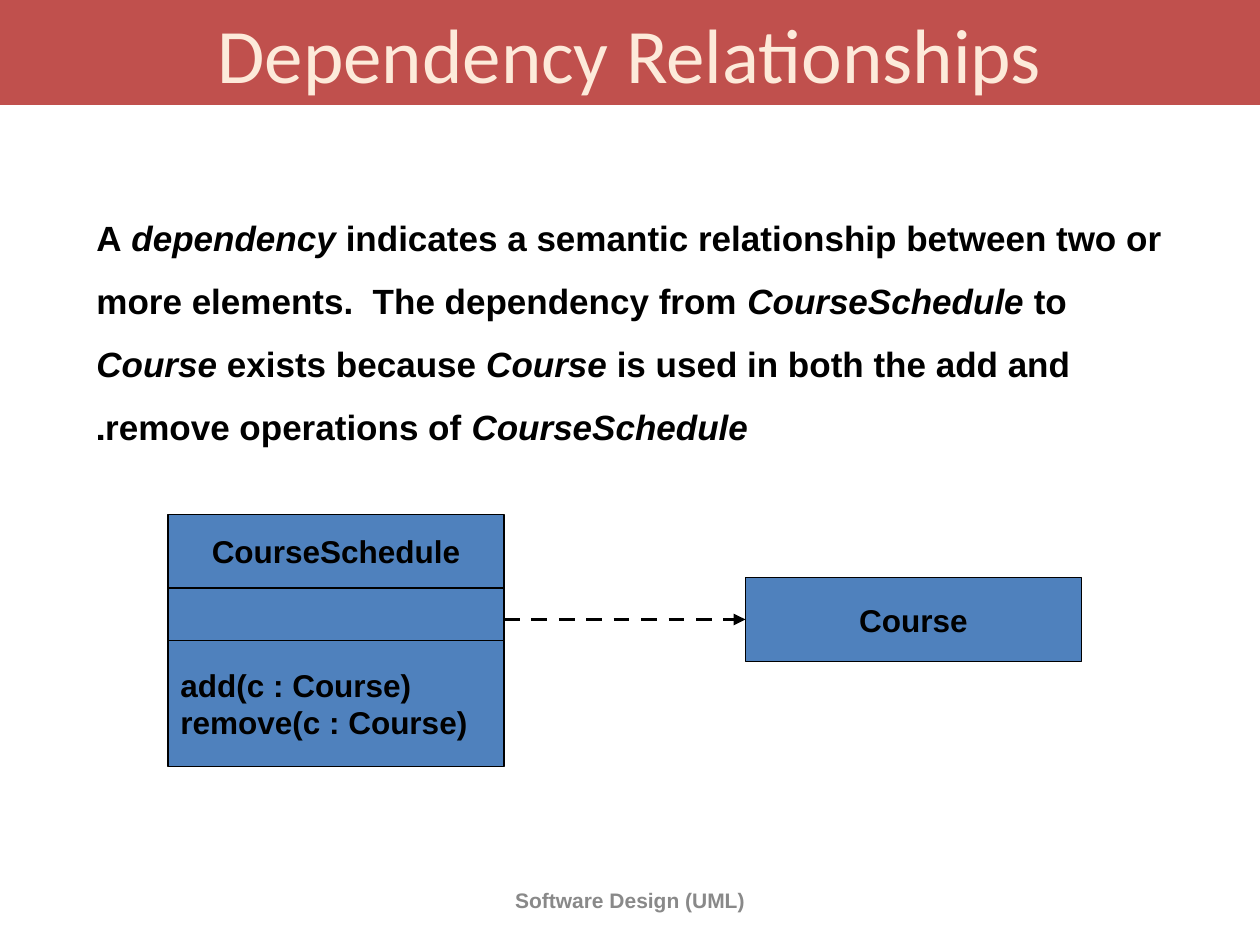
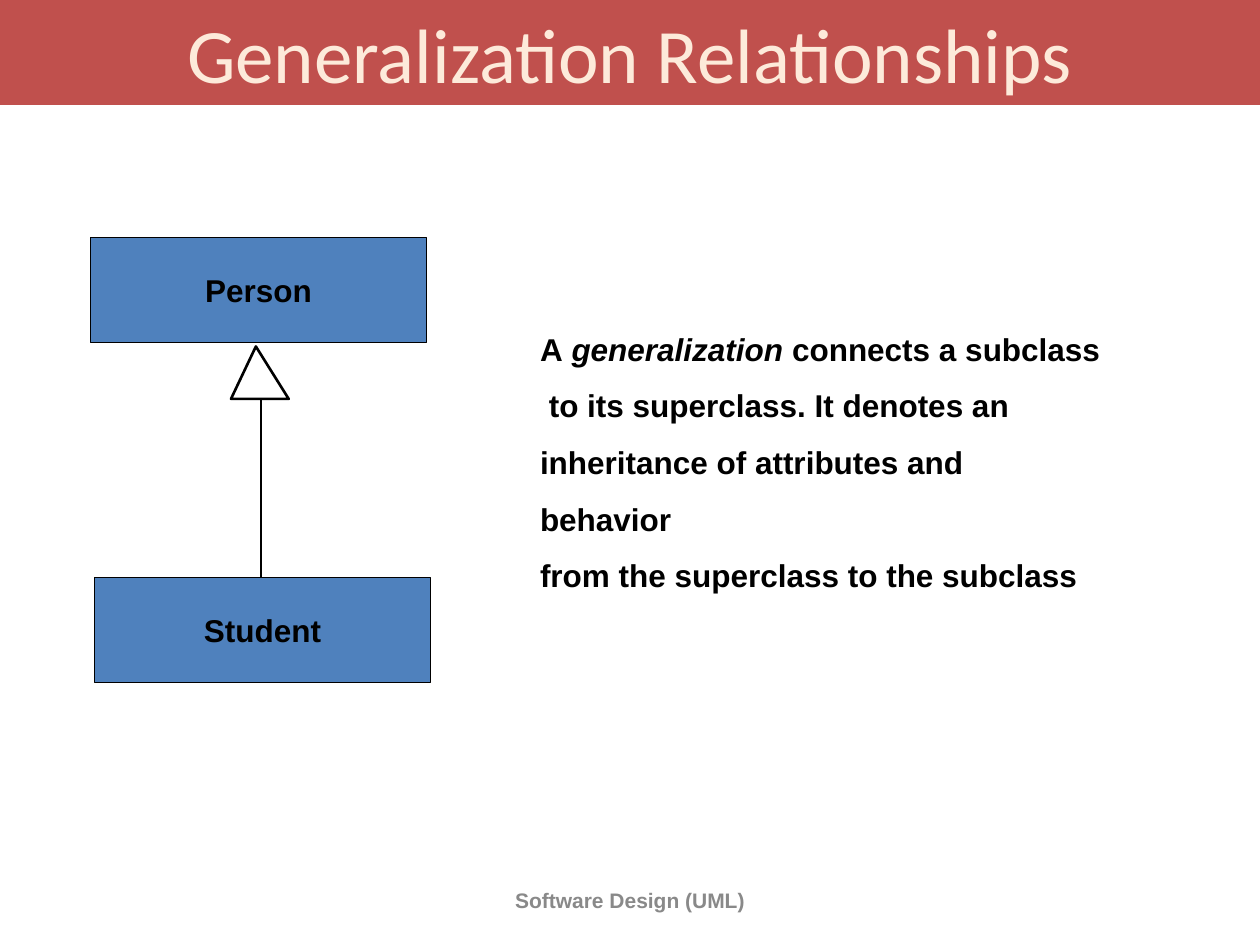
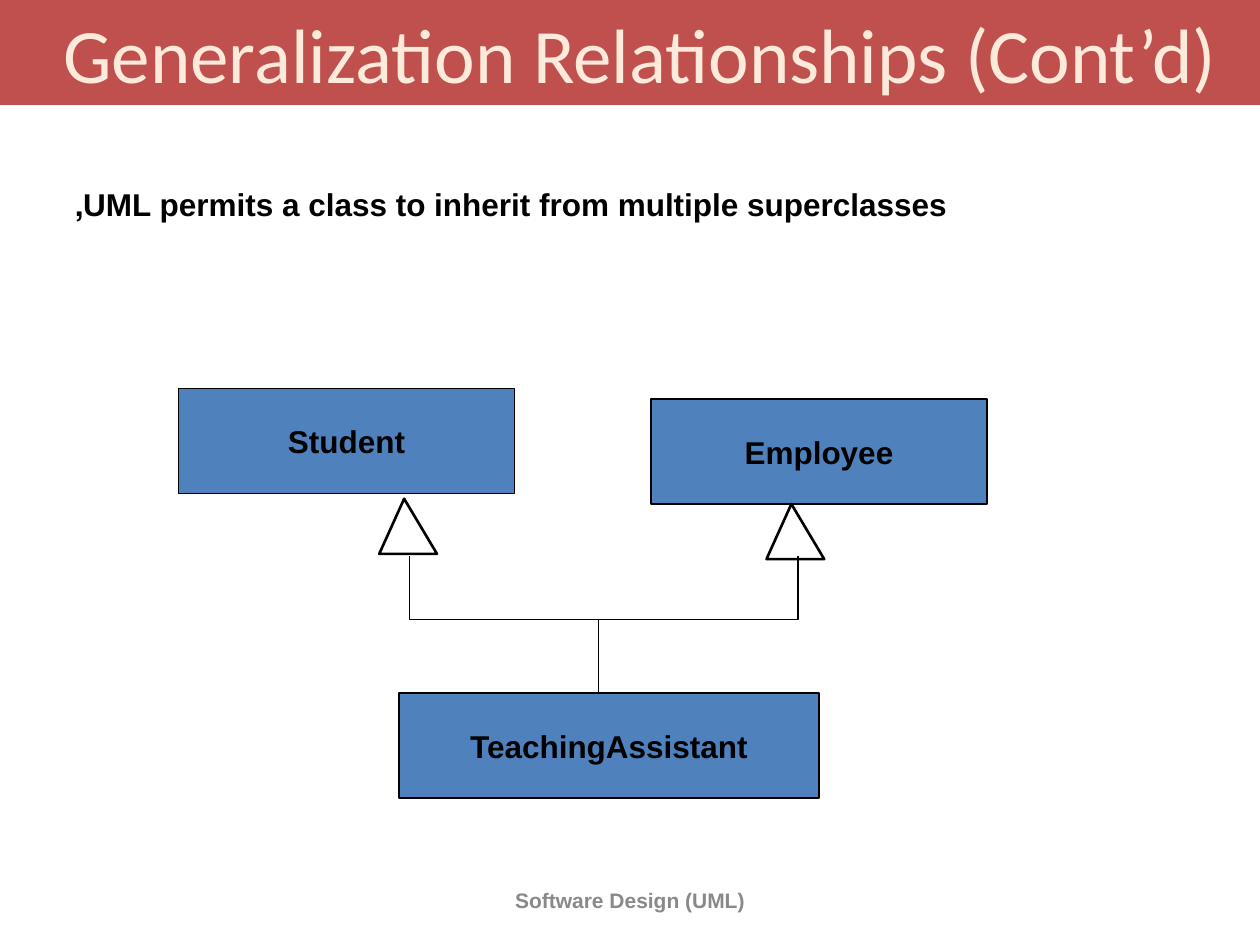
"""Build three slides on UML dependency and generalization relationships."""
from dataclasses import dataclass
from typing import NamedTuple

from lxml.etree import SubElement
from pptx import Presentation
from pptx.dml.color import RGBColor
from pptx.enum.dml import MSO_LINE_DASH_STYLE as Dash
from pptx.enum.shapes import MSO_CONNECTOR as Connector, MSO_SHAPE as Preset
from pptx.enum.text import MSO_ANCHOR as Anchor, MSO_AUTO_SIZE as AutoSize, PP_ALIGN as Align
from pptx.oxml.ns import qn
from pptx.util import Emu, Pt

EMU_PER_PX = 9525
TITLE_ONLY_LAYOUT = 5
FOOTER = "Software Design (UML)"


@dataclass(frozen=True)
class Theme:
    """Colours, fonts, type sizes and line widths of the deck."""
    band: RGBColor = RGBColor(0xC0, 0x50, 0x4D)
    title: RGBColor = RGBColor(0xFD, 0xEA, 0xDA)
    box: RGBColor = RGBColor(0x4F, 0x81, 0xBD)
    ink: RGBColor = RGBColor(0, 0, 0)
    paper: RGBColor = RGBColor(0xFF, 0xFF, 0xFF)
    footer: RGBColor = RGBColor(0x89, 0x89, 0x89)
    title_font: str = "Calibri"
    text_font: str = "Arial"
    title_size: int = 44
    lead_size: int = 20
    text_size: int = 18
    footer_size: int = 12
    box_line: float = 0.75
    fork_line: float = 1
    branch_line: float = 1.5
    arrow_line: float = 2.25


THEME = Theme()


class Run(NamedTuple):
    """A stretch of text, italic for names of concepts."""
    text: str
    italic: bool = False


class Frame(NamedTuple):
    """A rectangle in px."""
    left: int
    top: int
    width: int
    height: int


class Point(NamedTuple):
    """A position in px."""
    x: int
    y: int


@dataclass(frozen=True)
class TextStyle:
    """How the paragraphs of a text frame look."""
    size: int = THEME.text_size
    color: RGBColor = THEME.ink
    align: Align = Align.LEFT
    spacing: float = 1.0


@dataclass(frozen=True)
class Compartment:
    """One filled rectangle of a class symbol."""
    frame: Frame
    lines: tuple[str, ...] = ()
    align: Align = Align.CENTER


Lines = tuple[tuple[Run, ...], ...]


def px(length: int) -> Emu:
    """Turn px into EMU."""
    return Emu(length * EMU_PER_PX)


def place(frame: Frame) -> tuple[Emu, ...]:
    """Turn a frame into EMU."""
    return tuple(px(length) for length in frame)


def write(text_frame, lines: Lines, style: TextStyle) -> None:
    """Fill a text frame with right-to-left paragraphs."""
    for index, runs in enumerate(lines):
        paragraph = text_frame.add_paragraph() if index else text_frame.paragraphs[0]
        paragraph.alignment = style.align
        paragraph.line_spacing = style.spacing
        paragraph._p.get_or_add_pPr().set("rtl", "1")
        for text, italic in runs:
            run = paragraph.add_run()
            run.text = text
            font = run.font
            font.name, font.size, font.bold, font.italic = THEME.text_font, Pt(style.size), True, italic
            font.color.rgb = style.color


def add_text(slide, frame: Frame, lines: Lines, style: TextStyle, wrap: bool = True,
             anchor: Anchor = Anchor.TOP, grow: bool = True) -> None:
    """Add a text box."""
    text_frame = slide.shapes.add_textbox(*place(frame)).text_frame
    text_frame.word_wrap = wrap
    text_frame.vertical_anchor = anchor
    text_frame.auto_size = AutoSize.SHAPE_TO_FIT_TEXT if grow else AutoSize.NONE
    write(text_frame, lines, style)


def set_line(shape, width: float) -> None:
    """Give a shape or connector an ink line."""
    shape.line.color.rgb = THEME.ink
    shape.line.width = Pt(width)


def add_compartment(slide, compartment: Compartment) -> None:
    """Add one rectangle of a class symbol."""
    shape = slide.shapes.add_shape(Preset.RECTANGLE, *place(compartment.frame))
    shape.shadow.inherit = False
    shape.fill.solid()
    shape.fill.fore_color.rgb = THEME.box
    set_line(shape, THEME.box_line)
    text_frame = shape.text_frame
    text_frame.word_wrap = False
    text_frame.vertical_anchor = Anchor.MIDDLE
    write(text_frame, tuple((Run(line),) for line in compartment.lines), TextStyle(align=compartment.align))


def add_line(slide, start: Point, end: Point, width: float):
    """Add a straight connector without shadow."""
    connector = slide.shapes.add_connector(Connector.STRAIGHT, *place((*start, *end)))
    set_line(connector, width)
    SubElement(connector._element.spPr, qn("a:effectLst"))
    return connector


def add_dependency(slide, start: Point, end: Point) -> None:
    """Add a dashed arrow."""
    arrow = add_line(slide, start, end, THEME.arrow_line)
    arrow.line.dash_style = Dash.DASH
    SubElement(arrow.line._get_or_add_ln(), qn("a:tailEnd"), type="triangle")


def add_outline(slide, points: list[Point], width: float, closed: bool) -> None:
    """Add a freeform, filled with paper when closed."""
    builder = slide.shapes.build_freeform(*points[0], scale=EMU_PER_PX)
    builder.add_line_segments(points[1:], close=closed)
    shape = builder.convert_to_shape()
    shape.shadow.inherit = False
    if closed:
        shape.fill.solid()
        shape.fill.fore_color.rgb = THEME.paper
    else:
        shape.fill.background()
    set_line(shape, width)


def add_triangle(slide, tip: Point, height: int = 42) -> None:
    """Add the hollow head of a generalization."""
    base = tip.y + height
    corners = [tip, Point(tip.x - 19, base), Point(tip.x + 25, base)]
    add_outline(slide, corners, THEME.branch_line, closed=True)


def add_titled_slide(presentation, title: str, band_width: int = 960):
    """Add a slide with its title band and footer."""
    slide = presentation.slides.add_slide(presentation.slide_layouts[TITLE_ONLY_LAYOUT])
    band = slide.shapes.title
    band.left, band.top, band.width, band.height = place(Frame(0, 0, band_width, 80))
    band.fill.solid()
    band.fill.fore_color.rgb = THEME.band
    text_frame = band.text_frame
    text_frame.auto_size = AutoSize.NONE
    text_frame.vertical_anchor = Anchor.MIDDLE
    paragraph = text_frame.paragraphs[0]
    paragraph.alignment = Align.CENTER
    run = paragraph.add_run()
    run.text = title
    run.font.name, run.font.size = THEME.title_font, Pt(THEME.title_size)
    run.font.color.rgb = THEME.title
    add_text(slide, Frame(328, 667, 304, 38), ((Run(FOOTER),),),
             TextStyle(THEME.footer_size, THEME.footer, Align.CENTER), anchor=Anchor.MIDDLE, grow=False)
    return slide


def build_dependency(presentation) -> None:
    """Build the slide on dependencies."""
    slide = add_titled_slide(presentation, "Dependency Relationships")
    for compartment in (
        Compartment(Frame(128, 392, 256, 56), ("CourseSchedule",)),
        Compartment(Frame(128, 448, 256, 40)),
        Compartment(Frame(128, 488, 256, 96), ("add(c : Course)", "remove(c : Course)"), Align.LEFT),
        Compartment(Frame(568, 440, 256, 64), ("Course",)),
    ):
        add_compartment(slide, compartment)
    add_dependency(slide, Point(384, 472), Point(568, 472))
    schedule, course = Run("CourseSchedule", True), Run("Course", True)
    add_text(slide, Frame(64, 144, 852, 250), (
        (Run("A "), Run("dependency", True), Run(" indicates a semantic relationship between two or")),
        (Run("more elements.  The dependency from "), schedule, Run(" to "), course,
         Run(" exists because "), course,
         Run(" is used in both the add and remove operations of "), schedule, Run(".")),
    ), TextStyle(THEME.lead_size, spacing=1.5))


def build_generalization(presentation) -> None:
    """Build the slide on single inheritance."""
    slide = add_titled_slide(presentation, "Generalization Relationships")
    add_compartment(slide, Compartment(Frame(69, 181, 256, 80), ("Person",)))
    add_compartment(slide, Compartment(Frame(72, 440, 256, 80), ("Student",)))
    add_text(slide, Frame(402, 232, 448, 182), (
        (Run("A "), Run("generalization", True), Run(" connects a subclass")),
        (Run("to its superclass. It denotes an "),),
        (Run("inheritance of attributes and behavior"),),
        (Run("from the superclass to the subclass"),),
    ), TextStyle(spacing=1.5), wrap=False)
    add_line(slide, Point(199, 304), Point(199, 440), THEME.branch_line)
    add_triangle(slide, Point(195, 264), height=40)


def build_multiple_inheritance(presentation) -> None:
    """Build the slide on multiple inheritance."""
    slide = add_titled_slide(presentation, "Generalization Relationships (Cont’d)", band_width=976)
    add_text(slide, Frame(48, 136, 856, 38),
             ((Run("UML permits a class to inherit from multiple superclasses,"),),), TextStyle())
    for name, frame in (
        ("Student", Frame(136, 296, 256, 80)),
        ("Employee", Frame(496, 304, 256, 80)),
        ("TeachingAssistant", Frame(304, 528, 320, 80)),
    ):
        add_compartment(slide, Compartment(frame, (name,)))
    for tip in (Point(308, 380), Point(603, 384)):
        add_triangle(slide, tip)
    fork = [Point(312, 424), Point(312, 472), Point(608, 472), Point(608, 424)]
    add_outline(slide, fork, THEME.fork_line, closed=False)
    add_line(slide, Point(456, 472), Point(456, 528), THEME.fork_line)


def main() -> None:
    """Build and save the deck."""
    presentation = Presentation()
    presentation.slide_width, presentation.slide_height = px(960), px(720)
    build_dependency(presentation)
    build_generalization(presentation)
    build_multiple_inheritance(presentation)
    presentation.save("out.pptx")


if __name__ == "__main__":
    main()
